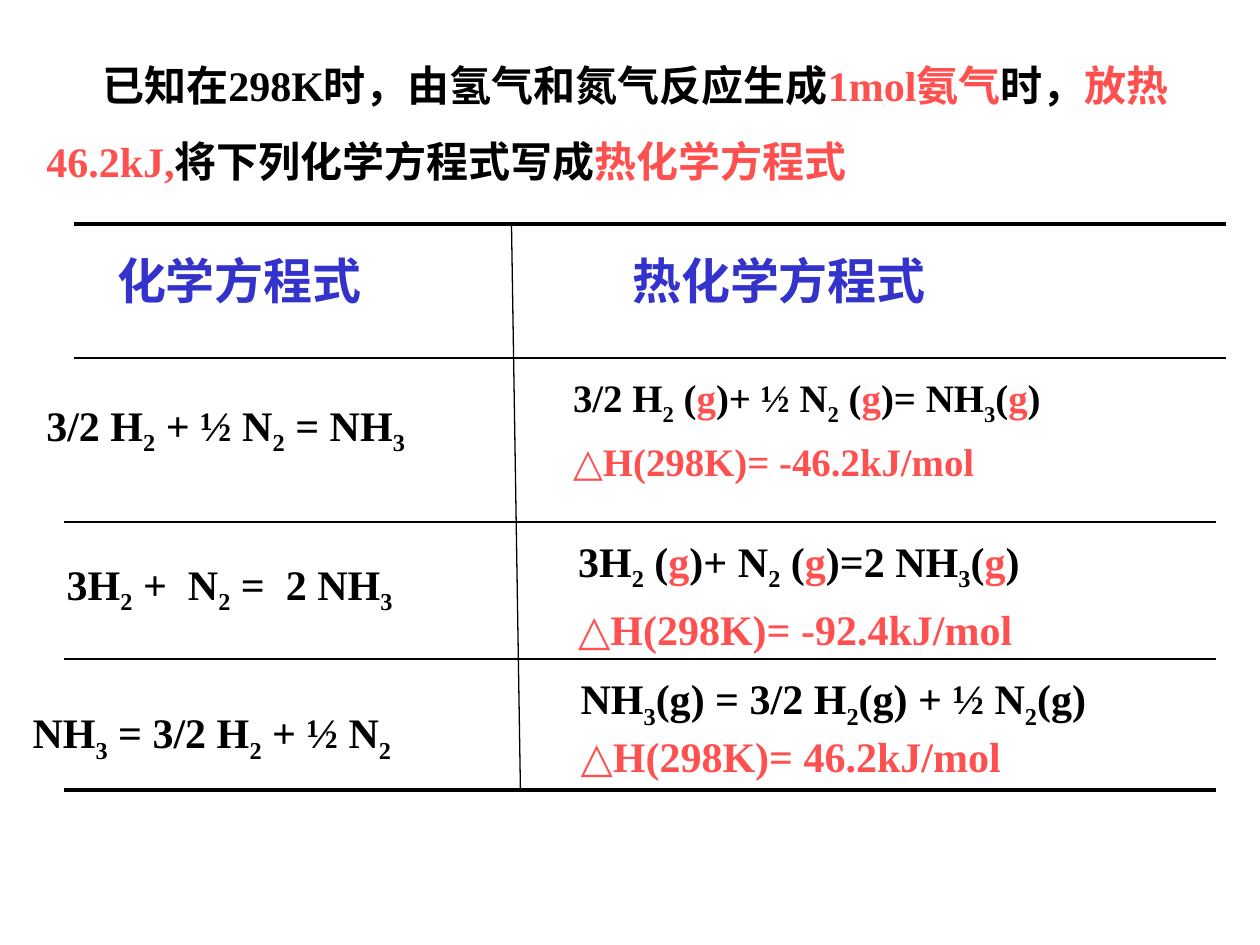
from pptx import Presentation
from pptx.dml.color import RGBColor
from pptx.enum.shapes import MSO_CONNECTOR
from pptx.util import Pt
from lxml import etree

LINE = MSO_CONNECTOR.STRAIGHT
BLACK, RED, BLUE = "000000", "FF5050", "3333CC"
NS = "{http://schemas.openxmlformats.org/drawingml/2006/main}"


def paint(code):
    return RGBColor.from_string(code)


def write(box, size, gap, paras, tone=BLACK, dent=0):
    area = slide.shapes.add_textbox(*map(Pt, box))
    frame = area.text_frame
    frame.word_wrap = True
    for row, parts in enumerate(paras):
        para = frame.paragraphs[0] if row == 0 else frame.add_paragraph()
        if row:
            para.space_before = Pt(gap)
        elif dent:
            para._p.get_or_add_pPr().set("indent", str(Pt(dent)))
        for part in parts:
            run = para.add_run()
            run.text = part.lstrip("_*")
            font = run.font
            font.name = "Times New Roman"
            font.size = Pt(size)
            font.bold = True
            font.color.rgb = paint(RED if part[0] == "*" else tone)
            if part[0] == "_":
                font._element.set("baseline", "-25000")


deck = Presentation()
deck.slide_width, deck.slide_height = Pt(720), Pt(540)
slide = deck.slides.add_slide(deck.slide_layouts[6])

rules = [
    (42.5, 128.2, 700.6, 128.2, 2.25),
    (42.5, 204.5, 700.6, 204.5, 1),
    (36.7, 298.1, 694.8, 298.1, 1),
    (36.7, 376.6, 694.8, 376.6, 1),
    (36.7, 451.4, 694.8, 451.4, 2.25),
    (292.3, 128.2, 297.4, 451.4, 0.75),
]
for *ends, width in rules:
    rule = slide.shapes.add_connector(LINE, *map(Pt, ends))
    rule.line.color.rgb = paint(BLACK)
    rule.line.width = Pt(width)
    etree.SubElement(rule._element.spPr, NS + "effectLst")

write((19.4, 30.3, 684, 95), 24, 15, [
    ["已知在298K时，由氢气和氮气反应生成", "*1mol氨气", "时，", "*放热"],
    ["*46.2kJ,", "将下列化学方程式写成", "*热化学方程式"],
], dent=32)

write((59.8, 139.7, 193, 41), 28, 0, [["化学方程式"]], BLUE)
write((354.2, 139.7, 244, 41), 28, 0, [["热化学方程式"]], BLUE)

write((19.4, 224.6, 260.6, 40.3), 24, 0,
      [["3/2 H", "_2", " + ½ N", "_2", " = NH", "_3"]])
write((31, 315.4, 260.6, 40.3), 24, 0,
      [["3H", "_2", " +  N", "_2", " =  2 NH", "_3"]])
write((11.5, 400.3, 286.6, 40.3), 24, 0,
      [["NH", "_3", " = 3/2 H", "_2", " + ½ N", "_2"]])

write((320.4, 210.2, 351.4, 71.3), 22.2, 6, [
    ["3/2 H", "_2", " (", "*g", ")+ ½ N", "_2", " (", "*g",
     ")= NH", "_3", "(", "*g", ")"],
    ["*△H(298K)= -46.2kJ/mol"],
])
write((323.3, 302.4, 360, 74.9), 24, 6, [
    ["3H", "_2", " (", "*g", ")+ N", "_2", " (", "*g",
     ")=2 NH", "_3", "(", "*g", ")"],
    ["*△H(298K)= -92.4kJ/mol"],
])
write((324.7, 380.9, 364.3, 69.1), 24, 0, [
    ["NH", "_3", "(g) = 3/2 H", "_2", "(g) + ½ N", "_2", "(g)"],
    ["*△H(298K)= 46.2kJ/mol"],
])

deck.save("out.pptx")
